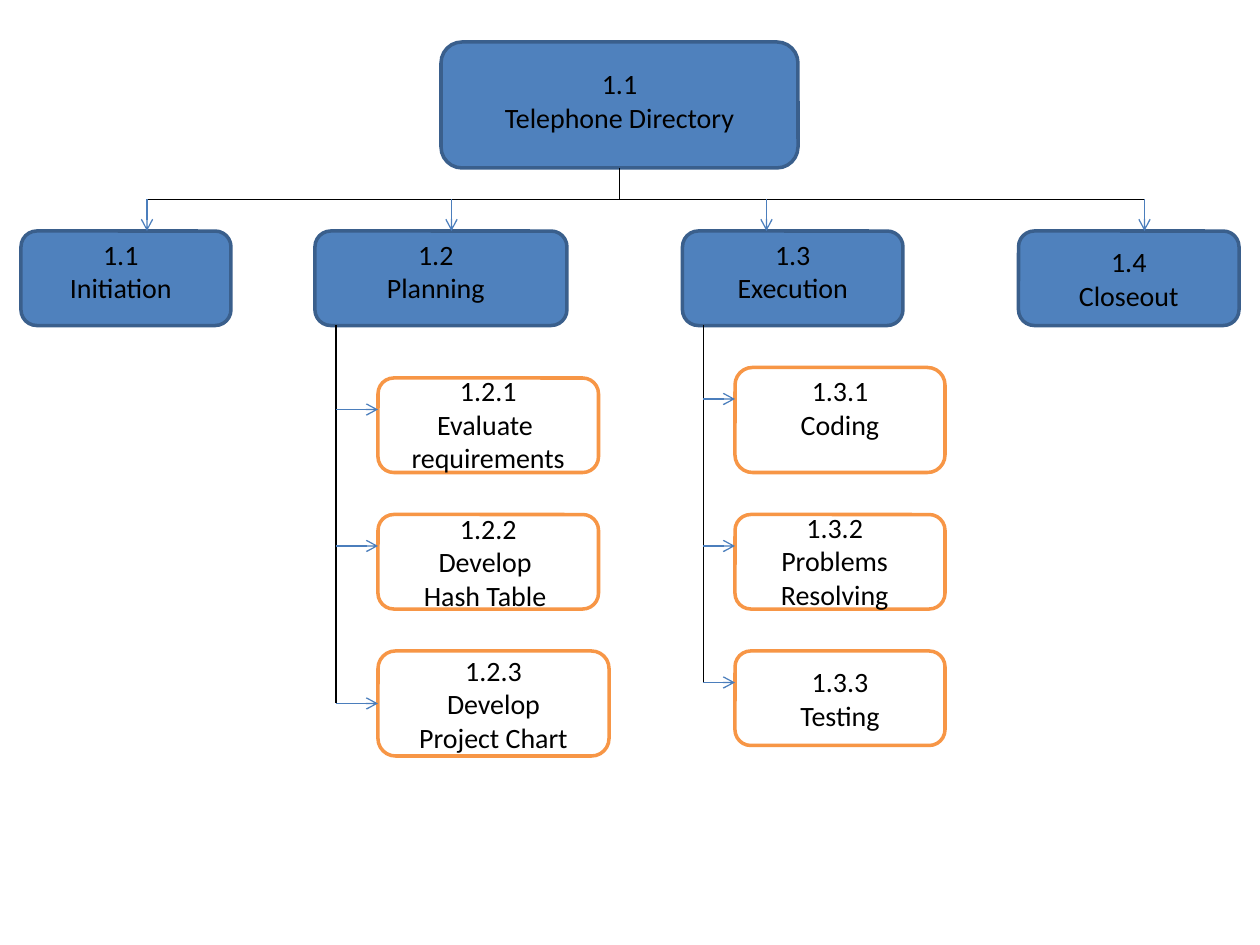
from lxml import etree
from pptx import Presentation
from pptx import util as u
from pptx.dml.color import RGBColor
from pptx.enum import shapes, text
from pptx.oxml.ns import qn

COLS, ROWS = 120, 90
WIDTH, HEIGHT = u.Inches(10), u.Inches(7.5)
BLUE, NAVY, ORANGE, WHITE, BLACK, ARROW = (
    "4F81BD", "3A5F8C", "F79646", "FFFFFF", "000000", "4B7EBC")
FONT = {"size": u.Pt(16), "name": "Calibri"}
PHASE = {"fill": BLUE, "line": NAVY}
TASK = {"fill": WHITE, "line": ORANGE}

# box cells, lines of text, cells of a separate label (None: text sits in the box)
PHASES = [
    ((42, 4, 34, 12), ["1.1", "Telephone Directory"], (43.5, 5.75, 31, 7.7)),
    ((2, 22, 20, 9), ["1.1", "Initiation"], (4, 22, 15, 7.7)),
    ((30, 22, 24, 9), ["1.2", "Planning"], (31, 22, 21, 7.7)),
    ((65, 22, 21, 9), ["1.3", "Execution"], (65, 22, 21, 7.7)),
    ((97, 22, 21, 9), ["1.4", "Closeout"], None),
]
TASKS = [
    ((36, 36, 21, 9), ["1.2.1", "Evaluate ", "requirements"], (37, 35, 19, 10.9)),
    ((36, 49, 21, 9), ["1.2.2", "Develop ", "Hash Table "], None),
    ((36, 62, 22, 10), ["1.2.3", "Develop", "Project Chart"], None),
    ((70, 35, 20, 10), ["1.3.1", "Coding"], (72, 35, 16, 7.7)),
    ((70, 49, 20, 9), ["1.3.2", "Problems", "Resolving"], (71, 48, 17, 10.9)),
    ((70, 62, 20, 9), ["1.3.3", "Testing"], None),
]
DROPS = [14, 43, 73, 109]
# trunk column, column of the task boxes, rows of the branches
BRANCHES = [(32, 36, [39, 52, 67]), (67, 70, [38, 52, 65])]


def color(value):
    """Turn a hex string into a colour."""
    return RGBColor.from_string(value)


def cells(x, y):
    """Turn a grid column and row into slide lengths."""
    return u.Emu(round(x * WIDTH / COLS)), u.Emu(round(y * HEIGHT / ROWS))


def apply(obj, values):
    """Set attributes from a dict of format values."""
    for name, value in values.items():
        setattr(obj, name, value)


def write(sp, lines, anchor):
    """Write centred lines of text into a shape."""
    tf = sp.text_frame
    apply(tf, {"word_wrap": True, "vertical_anchor": anchor})
    for i, line in enumerate(lines):
        p = tf.paragraphs[0] if i == 0 else tf.add_paragraph()
        p.alignment = text.PP_ALIGN.CENTER
        r = p.add_run()
        r.text = line
        apply(r.font, FONT)
        r.font.color.rgb = color(BLACK)


def add_box(s, box, lines, label, style):
    """Add a rounded box with its text inside or as a label on top."""
    sp = s.shapes.add_shape(shapes.MSO_SHAPE.ROUNDED_RECTANGLE,
                            *cells(*box[:2]), *cells(*box[2:]))
    sp.shadow.inherit = False
    sp.fill.solid()
    sp.fill.fore_color.rgb = color(style["fill"])
    sp.line.color.rgb = color(style["line"])
    sp.line.width = u.Pt(2)
    if label:
        tb = s.shapes.add_textbox(*cells(*label[:2]), *cells(*label[2:]))
        write(tb, lines, text.MSO_ANCHOR.TOP)
    else:
        write(sp, lines, text.MSO_ANCHOR.MIDDLE)


def add_line(s, start, end, arrow=False):
    """Add a straight line, with an open arrowhead when asked."""
    c = s.shapes.add_connector(shapes.MSO_CONNECTOR.STRAIGHT,
                               *cells(*start), *cells(*end))
    c.line.color.rgb = color(ARROW if arrow else BLACK)
    c.line.width = u.Pt(0.75)
    if arrow:
        etree.SubElement(c.line._get_or_add_ln(), qn("a:tailEnd"), type="arrow")
    etree.SubElement(c._element.spPr, qn("a:effectLst"))


def main():
    """Build the work breakdown slide."""
    prs = Presentation()
    apply(prs, {"slide_width": WIDTH, "slide_height": HEIGHT})
    s = prs.slides.add_slide(prs.slide_layouts[6])
    for boxes, style in ((PHASES, PHASE), (TASKS, TASK)):
        for box, lines, label in boxes:
            add_box(s, box, lines, label, style)
    add_line(s, (59, 16), (59, 19))
    add_line(s, (DROPS[0], 19), (DROPS[-1], 19))
    for x in DROPS:
        add_line(s, (x, 19), (x, 22), arrow=True)
    for trunk, edge, rows in BRANCHES:
        add_line(s, (trunk, 31), (trunk, rows[-1]))
        for y in rows:
            add_line(s, (trunk, y), (edge, y), arrow=True)
    prs.save("out.pptx")


main()
